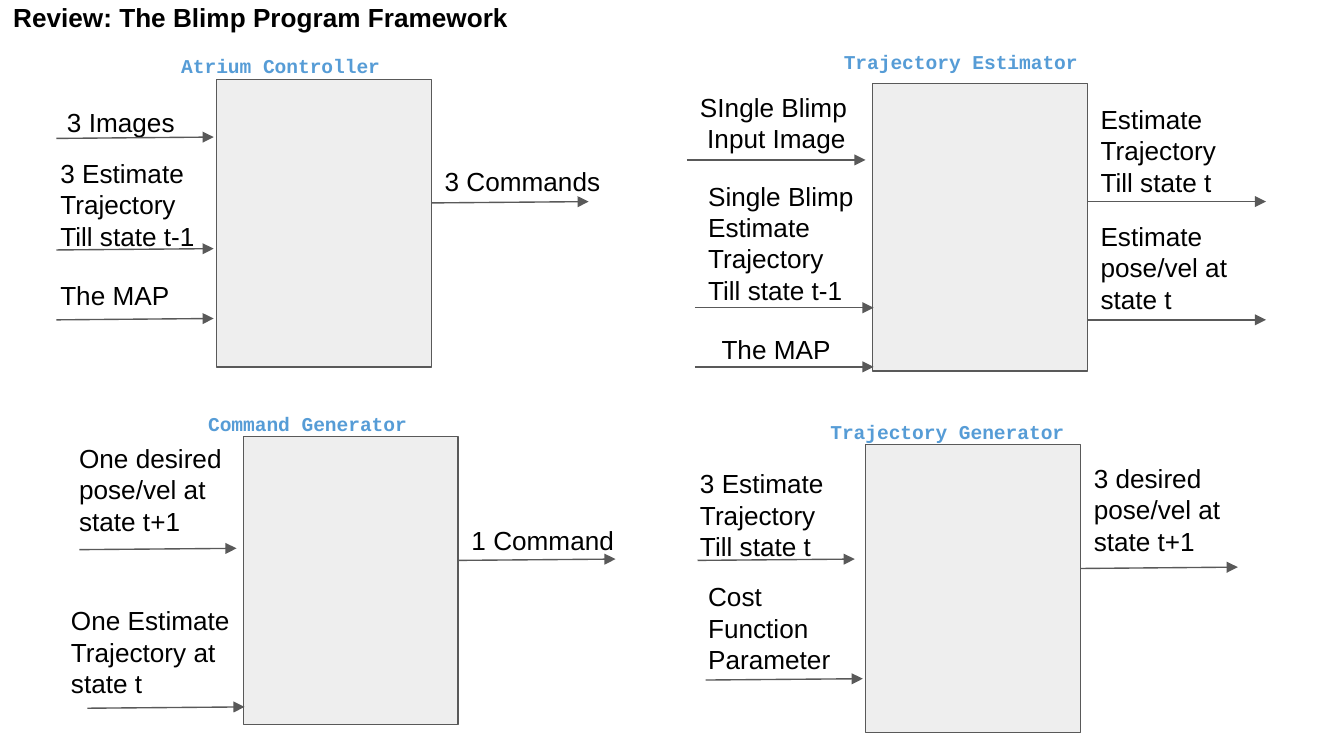
from lxml import etree
from pptx import Presentation
from pptx.dml.color import RGBColor
from pptx.enum.shapes import MSO_CONNECTOR, MSO_SHAPE
from pptx.oxml.ns import qn
from pptx.util import Inches, Pt

STRAIGHT = MSO_CONNECTOR.STRAIGHT
RECTANGLE = MSO_SHAPE.RECTANGLE

SLIDE_W = 10
SLIDE_H = SLIDE_W * 9 / 16
BOX_W, BOX_H = 1.6, 2.14
HEADING_W, HEADING_H = 2.11, 0.33
HEADING_DX, HEADING_DY = -0.36, -0.35
LABEL_W, LABEL_H = 1.32, 0.27
INK, GREY, PALE, BLUE = "000000", "595959", "EEEEEE", "569CD6"

TITLE = "Review: The Blimp Program Framework"

MODULES = [
    dict(name="Atrium Controller", box=(1.61, 0.59), nudge=(0, 0),
         arrow=(1.17, 0.01), input_w=LABEL_W, output_w=1.6,
         inputs=[("3 Images", (0.4, 0.69), (0.42, 1.03)),
                 ("3 Estimate Trajectory Till state t-1", (0.35, 1.07), (0.42, 1.86)),
                 ("The MAP", (0.35, 1.98), (0.42, 2.38))],
         outputs=[("3 Commands", 1.13, 1.51)]),
    dict(name="Trajectory Estimator", box=(6.49, 0.62), nudge=(0.05, -0.06),
         arrow=(1.33, 0), input_w=LABEL_W, output_w=LABEL_W,
         inputs=[("SIngle Blimp\n Input Image", (5.11, 0.58), (5.11, 1.19)),
                 ("Single Blimp Estimate Trajectory Till state t-1", (5.17, 1.24), (5.17, 2.29)),
                 ("The MAP", (5.27, 2.38), (5.17, 2.73))],
         outputs=[("Estimate Trajectory Till state t", 0.67, 1.5),
                  ("Estimate pose/vel at state t", 1.54, 2.38)]),
    dict(name="Command Generator", box=(1.81, 3.25), nudge=(0, 0),
         arrow=(1.17, 0.01), input_w=1.44, output_w=1.6,
         inputs=[("One desired pose/vel at state t+1", (0.49, 3.19), (0.59, 4.09)),
                 ("One Estimate Trajectory at state t", (0.43, 4.4), (0.65, 5.27))],
         outputs=[("1 Command", 3.8, 4.17)]),
    dict(name="Trajectory Generator", box=(6.44, 3.31), nudge=(0, 0),
         arrow=(1.17, 0.01), input_w=LABEL_W, output_w=1.6,
         inputs=[("3 Estimate Trajectory Till state t", (5.11, 3.38), (5.19, 4.17)),
                 ("Cost Function Parameter", (5.17, 4.22), (5.25, 5.06))],
         outputs=[("3 desired pose/vel at state t+1", 3.34, 4.23)]),
]


def color(hex_value):
    return RGBColor.from_string(hex_value)


def add_text(slide, text, left, top, width, height=LABEL_H, size=14,
             font="Arial", ink=INK, bold=False, spacing=None):
    frame = slide.shapes.add_textbox(
        *map(Inches, (left, top, width, height))).text_frame
    frame.word_wrap = True
    frame.margin_left = frame.margin_right = Inches(0.1)
    frame.margin_top = frame.margin_bottom = Inches(0.1)
    frame.text = text
    for paragraph in frame.paragraphs:
        if spacing:
            paragraph.line_spacing = spacing
        for run in paragraph.runs:
            run.font.name = font
            run.font.size = Pt(size)
            run.font.bold = bold
            run.font.color.rgb = color(ink)


def outline(line):
    line.color.rgb = color(GREY)
    line.width = Pt(0.75)


def add_box(slide, left, top):
    box = slide.shapes.add_shape(
        RECTANGLE, *map(Inches, (left, top, BOX_W, BOX_H)))
    box.shadow.inherit = False
    box.fill.solid()
    box.fill.fore_color.rgb = color(PALE)
    outline(box.line)


def add_arrow(slide, left, y, length, rise):
    arrow = slide.shapes.add_connector(
        STRAIGHT, *map(Inches, (left, y, left + length, y - rise)))
    outline(arrow.line)
    properties = arrow.element.spPr
    etree.SubElement(properties.find(qn("a:ln")), qn("a:tailEnd"), type="triangle")
    etree.SubElement(properties, qn("a:effectLst"))


def add_module(slide, module):
    left, top = module["box"]
    nudge_x, nudge_y = module["nudge"]
    right = left + BOX_W
    add_box(slide, left, top)
    add_text(slide, module["name"], left + HEADING_DX + nudge_x,
             top + HEADING_DY + nudge_y, HEADING_W, HEADING_H,
             size=10.5, font="Courier New", ink=BLUE, bold=True, spacing=1.36)
    flows = [(text, label, start, module["input_w"])
             for text, label, start in module["inputs"]]
    flows += [(text, (right, label_top), (right, arrow_y), module["output_w"])
              for text, label_top, arrow_y in module["outputs"]]
    for text, label, start, width in flows:
        add_text(slide, text, *label, width)
        add_arrow(slide, *start, *module["arrow"])


def main():
    deck = Presentation()
    deck.slide_width, deck.slide_height = Inches(SLIDE_W), Inches(SLIDE_H)
    slide = deck.slides.add_slide(deck.slide_layouts[6])
    for module in MODULES:
        add_module(slide, module)
    add_text(slide, TITLE, 0, -0.09, 5.77, 0.45, bold=True)
    deck.save("out.pptx")


if __name__ == "__main__":
    main()
